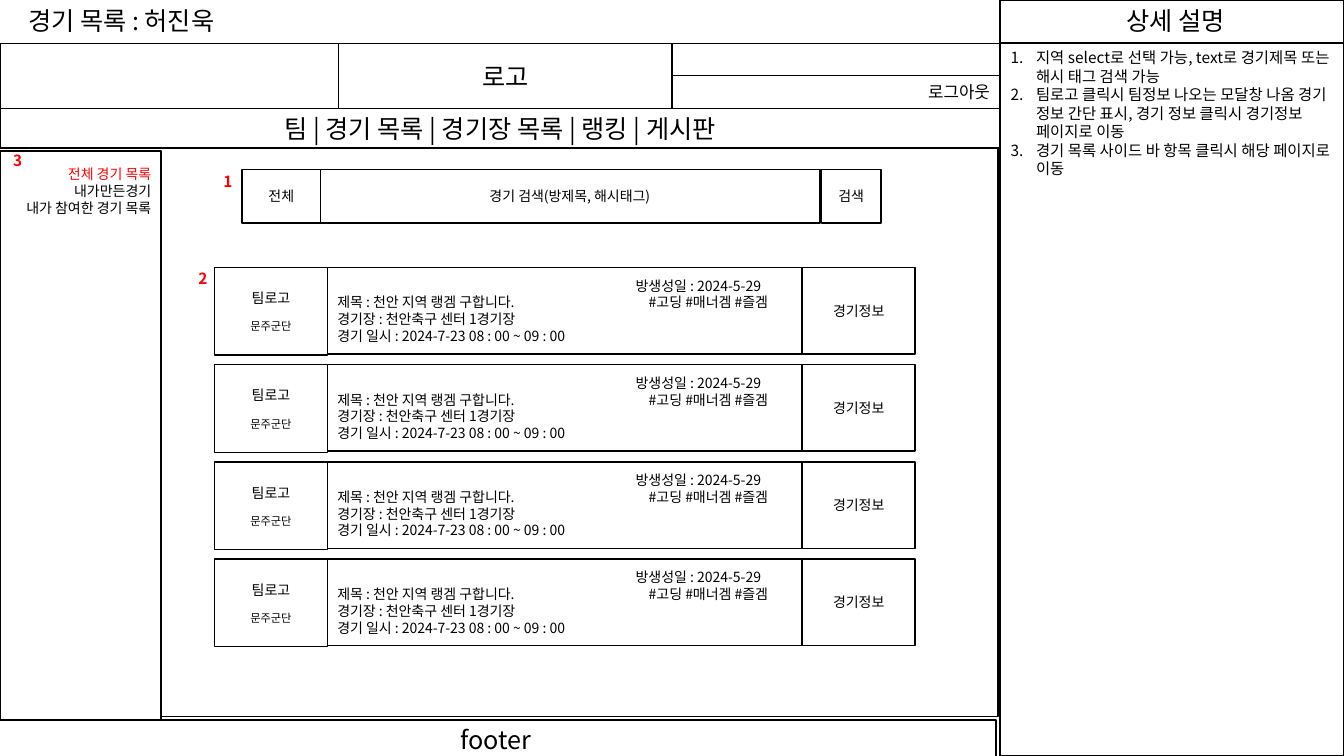
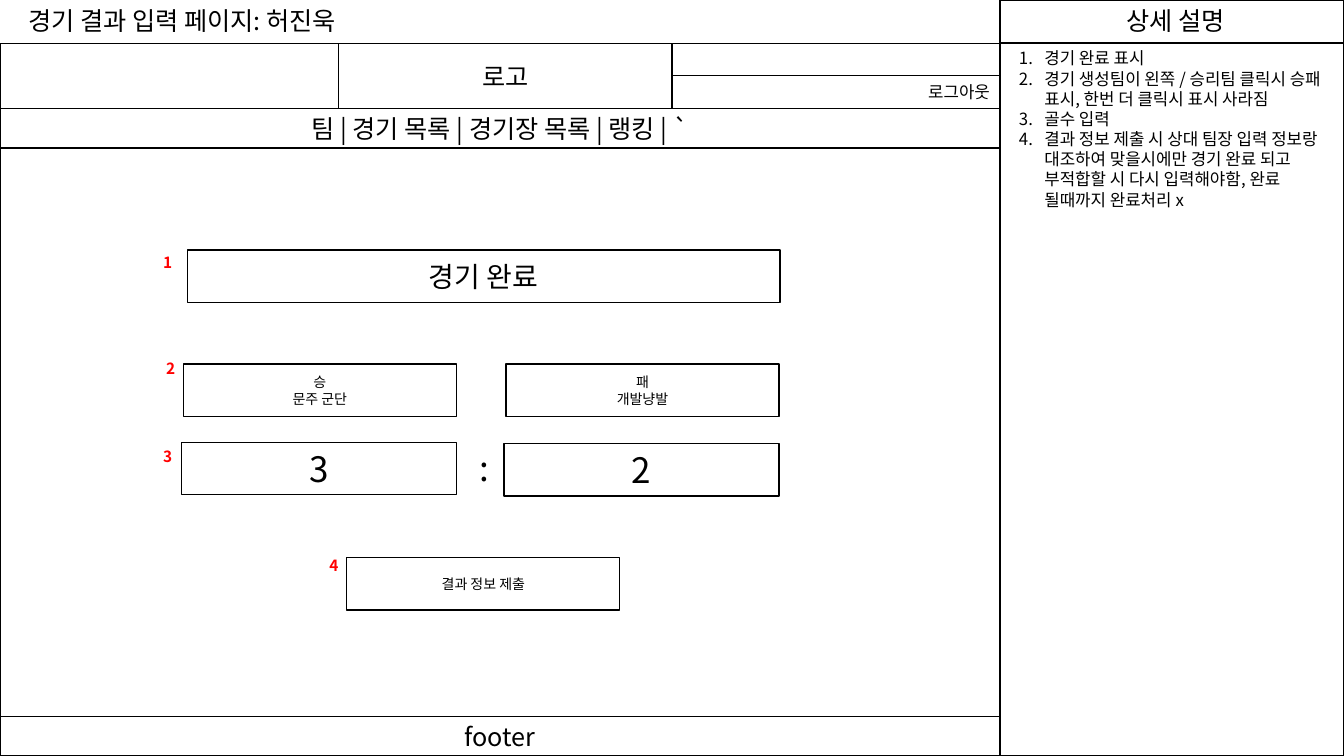
"""Build two wireframe slides: a match list and a match result form."""
from dataclasses import dataclass
from typing import Optional

from lxml.etree import SubElement
from pptx import Presentation
from pptx.dml.color import RGBColor
from pptx.enum.shapes import MSO_SHAPE as Preset
from pptx.enum.text import MSO_ANCHOR as Anchor, MSO_AUTO_SIZE as AutoSize, PP_ALIGN as Align
from pptx.oxml.ns import qn
from pptx.shapes.autoshape import Shape
from pptx.slide import Slide
from pptx.util import Cm, Pt

COLORS = {"paper": "FFFFFF", "ink": "000000", "accent": "FF0000"}
FONT = "Noto Sans CJK KR"
SLIDE_WIDTH, SLIDE_HEIGHT = 33.87, 19.05
PAGE_WIDTH = 25.2
BAR_BOTTOM, NAV_TOP, BODY_TOP, BODY_HEIGHT = 1.09, 2.74, 3.73, 14.33
NAV_HEIGHT = BODY_TOP - NAV_TOP
CARD_TOP, CARD_PITCH, CARD_COUNT = 6.74, 2.45, 4
FIELD_HEIGHT = 1.32


@dataclass(frozen=True)
class Box:
    left: float
    top: float
    width: float
    height: float
    text: str = ""
    size: float = 10
    align: Align = Align.CENTER


@dataclass(frozen=True)
class Callout:
    number: int
    left: float
    top: float


@dataclass(frozen=True)
class Page:
    title: str
    menu: str
    body_left: float
    footer_left: float
    footer_top: float
    notes: Box


LIST_PAGE = Page(
    "경기 목록 : 허진욱", "팀 | 경기 목록 | 경기장 목록 | 랭킹 | 게시판", -0.05, -0.1, 18.14,
    Box(25.22, BAR_BOTTOM, 8.59, 3.56,
        "지역 select로 선택 가능, text로 경기제목 또는 해시 태그 검색 가능\n"
        "팀로고 클릭시 팀정보 나오는 모달창 나옴 경기 정보 간단 표시, 경기 정보 클릭시 경기정보 페이지로 이동\n"
        "경기 목록 사이드 바 항목 클릭시 해당 페이지로 이동", 11, Align.LEFT))
RESULT_PAGE = Page(
    "경기 결과 입력 페이지: 허진욱", "팀 | 경기 목록 | 경기장 목록 | 랭킹 | `", 0, 0, 18.06,
    Box(25.43, BAR_BOTTOM, 8.15, 4.88,
        "경기 완료 표시\n"
        "경기 생성팀이 왼쪽 / 승리팀 클릭시 승패 표시, 한번 더 클릭시 표시 사라짐\n"
        "골수 입력\n"
        "결과 정보 제출 시 상대 팀장 입력 정보랑 대조하여 맞을시에만 경기 완료 되고 "
        "부적합할 시 다시 입력해야함, 완료 될때까지 완료처리 x", 12, Align.LEFT))

SEARCH_BAR = (
    Box(8.05, 4.27, 12.62, 1.35, "경기 검색(방제목, 해시태그)"),
    Box(6.1, 4.27, 1.98, 1.35, "전체"),
    Box(20.7, 4.27, 1.5, 1.35, "검색"),
)
LIST_CALLOUTS = (Callout(3, 0.08, 3.68), Callout(1, 5.38, 4.22), Callout(2, 4.75, 6.65))

RESULT_FIELDS = (
    Box(4.72, 6.3, 14.94, FIELD_HEIGHT, "경기 완료", 20),
    Box(4.62, 9.17, 6.88, FIELD_HEIGHT, "승\n문주 군단"),
    Box(12.75, 9.17, 6.88, FIELD_HEIGHT, "패\n개발냥발"),
    Box(4.57, 11.15, 6.93, FIELD_HEIGHT, "3", 25),
    Box(12.7, 11.18, 6.93, FIELD_HEIGHT, "2", 25),
    Box(8.74, 14.05, 6.88, FIELD_HEIGHT, "결과 정보 제출"),
)
RESULT_CALLOUTS = (Callout(1, 3.86, 6.25), Callout(2, 3.94, 8.92),
                   Callout(3, 3.86, 11.15), Callout(4, 8.05, 13.89))


def rgb(name: str) -> RGBColor:
    """Look up a palette colour."""
    return RGBColor.from_string(COLORS[name])


def write(shape: Shape, text: str, *, size: float = 10, color: str = "ink", bold: bool = False,
          align: Align = Align.LEFT, numbered: bool = False, tab: Optional[float] = None,
          before: float = 0) -> None:
    """Append each line of text to the shape as a paragraph."""
    frame = shape.text_frame
    for line in text.split("\n"):
        paragraph = frame.add_paragraph() if frame.text else frame.paragraphs[0]
        paragraph.alignment = align
        paragraph.space_before = Pt(before)
        properties = paragraph._p.get_or_add_pPr()
        if numbered:
            properties.set("marL", str(Cm(0.64)))
            properties.set("indent", str(-Cm(0.64)))
            SubElement(properties, qn("a:buFont"), typeface="+mj-lt")
            SubElement(properties, qn("a:buAutoNum"), type="arabicPeriod")
        if tab is not None:
            stops = SubElement(properties, qn("a:tabLst"))
            SubElement(stops, qn("a:tab"), pos=str(Cm(tab)), algn="l")
        run = paragraph.add_run()
        run.text = line
        run.font.name = FONT
        run.font.size = Pt(size)
        run.font.bold = bold
        run.font.color.rgb = rgb(color)
        SubElement(run.font._rPr, qn("a:ea"), typeface=FONT)


def draw_box(slide: Slide, box: Box) -> Shape:
    """Draw an outlined white rectangle with its text."""
    shape = slide.shapes.add_shape(
        Preset.RECTANGLE, Cm(box.left), Cm(box.top), Cm(box.width), Cm(box.height))
    shape.shadow.inherit = False
    shape.fill.solid()
    shape.fill.fore_color.rgb = rgb("paper")
    shape.line.color.rgb = rgb("ink")
    shape.line.width = Pt(1)
    shape.text_frame.vertical_anchor = Anchor.MIDDLE
    if box.text:
        write(shape, box.text, size=box.size, align=box.align)
    return shape


def draw_label(slide: Slide, label: Box, *, color: str = "ink", bold: bool = False,
               numbered: bool = False, wrap: bool = True) -> None:
    """Draw free-standing text."""
    shape = slide.shapes.add_textbox(
        Cm(label.left), Cm(label.top), Cm(label.width), Cm(label.height))
    shape.text_frame.word_wrap = wrap
    shape.text_frame.auto_size = AutoSize.SHAPE_TO_FIT_TEXT
    write(shape, label.text, size=label.size, align=label.align,
          color=color, bold=bold, numbered=numbered)


def draw_callouts(slide: Slide, callouts: tuple[Callout, ...]) -> None:
    """Draw the red numbers that refer to the notes."""
    for callout in callouts:
        label = Box(callout.left, callout.top, 0.97, 0.74, str(callout.number), 11, Align.LEFT)
        draw_label(slide, label, color="accent", bold=True)


def start_page(deck: Presentation, page: Page) -> Slide:
    """Add a slide with the shared header, menu, footer and notes panel."""
    slide = deck.slides.add_slide(deck.slide_layouts[6])
    panel_width = SLIDE_WIDTH - PAGE_WIDTH
    draw_box(slide, Box(PAGE_WIDTH, BAR_BOTTOM, panel_width, SLIDE_HEIGHT - BAR_BOTTOM))
    draw_box(slide, Box(PAGE_WIDTH, 0, panel_width, BAR_BOTTOM))
    draw_label(slide, Box(28.14, 0, 3.3, 1.02, "상세 설명", 18, Align.LEFT), wrap=False)
    for box in (
        Box(page.body_left, BODY_TOP, PAGE_WIDTH, BODY_HEIGHT),
        Box(0, BAR_BOTTOM, PAGE_WIDTH, BODY_TOP - BAR_BOTTOM),
        Box(8.53, BAR_BOTTOM, 8.41, NAV_TOP - BAR_BOTTOM, "로고", 18),
        Box(0, NAV_TOP, PAGE_WIDTH, NAV_HEIGHT, page.menu, 18),
        Box(16.94, 1.91, 8.26, 0.83, "로그아웃", 12, Align.RIGHT),
        Box(page.footer_left, page.footer_top, PAGE_WIDTH, NAV_HEIGHT, "footer", 18),
    ):
        draw_box(slide, box)
    draw_label(slide, Box(0.46, 0, 13.5, 1.02, page.title, 18, Align.LEFT))
    draw_label(slide, page.notes, numbered=True)
    return slide


def draw_match_card(slide: Slide, top: float) -> None:
    """Draw one match: team, details and info button."""
    details = draw_box(slide, Box(8.25, top, 11.96, 2.18))
    write(details, "\t방생성일 : 2024-5-29", tab=7.52)
    write(details, "제목 : 천안 지역 랭겜 구합니다.\t#고딩 #매너겜 #즐겜", tab=7.85)
    write(details, "경기장 : 천안축구 센터 1경기장\n경기 일시 : 2024-7-23 08 : 00 ~ 09 : 00")
    draw_box(slide, Box(20.22, top, 2.84, 2.18, "경기정보"))
    team = draw_box(slide, Box(5.41, top, 2.84, 2.21, "팀로고"))
    write(team, "문주군단", size=8, align=Align.CENTER, before=9.5)


def draw_sidebar(slide: Slide) -> None:
    """Draw the side menu with its current entry in red."""
    sidebar = draw_box(slide, Box(0, 3.81, 4.06, BODY_HEIGHT))
    sidebar.text_frame.vertical_anchor = Anchor.TOP
    sidebar.text_frame.margin_top = Cm(0.36)
    write(sidebar, "전체 경기 목록", color="accent", align=Align.RIGHT)
    write(sidebar, "내가만든경기\n내가 참여한 경기 목록", align=Align.RIGHT)


def build_match_list(deck: Presentation) -> None:
    """Build the match list slide."""
    slide = start_page(deck, LIST_PAGE)
    for box in SEARCH_BAR:
        draw_box(slide, box)
    draw_sidebar(slide)
    for row in range(CARD_COUNT):
        draw_match_card(slide, CARD_TOP + row * CARD_PITCH)
    draw_callouts(slide, LIST_CALLOUTS)


def build_match_result(deck: Presentation) -> None:
    """Build the match result slide."""
    slide = start_page(deck, RESULT_PAGE)
    for field in RESULT_FIELDS:
        draw_box(slide, field)
    draw_label(slide, Box(11.84, 11.13, 0.71, FIELD_HEIGHT, ":", 25, Align.LEFT))
    draw_callouts(slide, RESULT_CALLOUTS)


def main() -> None:
    """Create and save the deck."""
    deck = Presentation()
    deck.slide_width, deck.slide_height = Cm(SLIDE_WIDTH), Cm(SLIDE_HEIGHT)
    build_match_list(deck)
    build_match_result(deck)
    deck.save("out.pptx")


if __name__ == "__main__":
    main()
